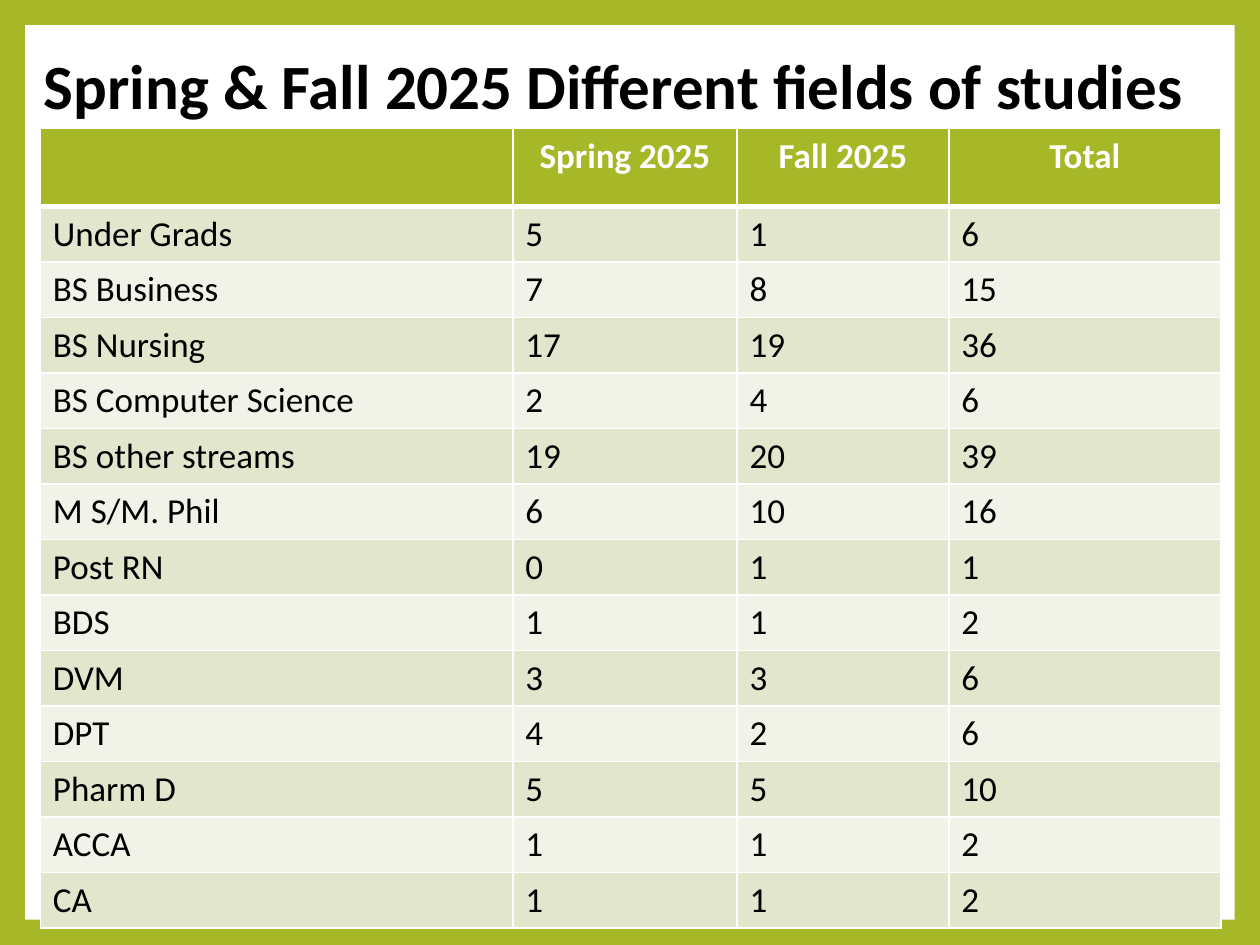
from lxml.etree import SubElement
from pptx import Presentation
from pptx.dml.color import RGBColor
from pptx.enum.shapes import MSO_SHAPE
from pptx.enum.text import MSO_ANCHOR, PP_ALIGN
from pptx.oxml.ns import qn
from pptx.util import Inches, Pt

# Content
TITLE = "Spring & Fall 2025 Different fields of studies"
HEADERS = ["", "Spring 2025", "Fall 2025", "Total"]
ENROLMENT = [  # field, spring, fall
    ("Under Grads", 5, 1),
    ("BS Business", 7, 8),
    ("BS Nursing", 17, 19),
    ("BS Computer Science", 2, 4),
    ("BS other streams", 19, 20),
    ("M S/M. Phil", 6, 10),
    ("Post RN", 0, 1),
    ("BDS", 1, 1),
    ("DVM", 3, 3),
    ("DPT", 4, 2),
    ("Pharm D", 5, 5),
    ("ACCA", 1, 1),
    ("CA", 1, 1),
]

# Style and grid, in inches
GREEN = RGBColor(0xA6, 0xB7, 0x27)
DARK_BAND = RGBColor(0xE1, 0xE6, 0xCD)
LIGHT_BAND = RGBColor(0xF1, 0xF3, 0xE8)
WHITE = RGBColor(0xFF, 0xFF, 0xFF)
BLACK = RGBColor(0, 0, 0)
FONT = "Calibri"
SLIDE_WIDTH, SLIDE_HEIGHT = 10, 7.5
MARGIN = 0.2
TABLE_LEFT, TABLE_TOP = 0.32, 1.02
COLUMN_WIDTHS = [3.75, 1.78, 1.68, 2.16]
HEADER_HEIGHT, ROW_HEIGHT = 0.62, 0.44


def add_run(paragraph, text, size, color, bold):
    run = paragraph.add_run()
    run.text = text
    run.font.name = FONT
    run.font.size = Pt(size)
    run.font.bold = bold
    run.font.color.rgb = color


def set_borders(cell, bottom_width):
    properties = cell._tc.get_or_add_tcPr()
    widths = {"a:lnL": 1, "a:lnR": 1, "a:lnT": 1, "a:lnB": bottom_width}
    for tag, width in widths.items():
        line = SubElement(properties, qn(tag), w=str(Pt(width)))
        fill = SubElement(line, qn("a:solidFill"))
        SubElement(fill, qn("a:srgbClr"), val=str(WHITE))


def fill_cell(cell, text, is_header, band):
    set_borders(cell, 3 if is_header else 1)
    cell.fill.solid()
    cell.fill.fore_color.rgb = band
    paragraph = cell.text_frame.paragraphs[0]
    paragraph.alignment = PP_ALIGN.CENTER if is_header else PP_ALIGN.LEFT
    if text:
        add_run(paragraph, text, 20, WHITE if is_header else BLACK, is_header)


presentation = Presentation()
presentation.slide_width = Inches(SLIDE_WIDTH)
presentation.slide_height = Inches(SLIDE_HEIGHT)
slide = presentation.slides.add_slide(presentation.slide_layouts[5])

# Green frame around a white panel, placed behind the title
slide.background.fill.solid()
slide.background.fill.fore_color.rgb = GREEN
panel = slide.shapes.add_shape(
    MSO_SHAPE.RECTANGLE, Inches(MARGIN), Inches(MARGIN),
    Inches(SLIDE_WIDTH - 2 * MARGIN), Inches(SLIDE_HEIGHT - 2 * MARGIN))
panel.shadow.inherit = False
panel.fill.solid()
panel.fill.fore_color.rgb = WHITE
panel.line.fill.background()
slide.shapes._spTree.insert(2, panel._element)

# Title
title = slide.shapes.title
title.left, title.top = Inches(0.1), Inches(0.4)
title.width, title.height = Inches(9.54), Inches(0.62)
title.text_frame.word_wrap = True
title.text_frame.vertical_anchor = MSO_ANCHOR.MIDDLE
heading = title.text_frame.paragraphs[0]
heading.alignment = PP_ALIGN.CENTER
heading.line_spacing = 0.9
add_run(heading, TITLE, 36, BLACK, True)

# Enrolment table
rows = [HEADERS] + [(field, str(spring), str(fall), str(spring + fall))
                    for field, spring, fall in ENROLMENT]
table = slide.shapes.add_table(
    len(rows), len(HEADERS), Inches(TABLE_LEFT), Inches(TABLE_TOP),
    Inches(sum(COLUMN_WIDTHS)),
    Inches(HEADER_HEIGHT + ROW_HEIGHT * len(ENROLMENT))).table
for column, width in zip(table.columns, COLUMN_WIDTHS):
    column.width = Inches(width)
for row_index, texts in enumerate(rows):
    is_header = row_index == 0
    band = GREEN if is_header else DARK_BAND if row_index % 2 else LIGHT_BAND
    table.rows[row_index].height = Inches(HEADER_HEIGHT if is_header else ROW_HEIGHT)
    for column_index, text in enumerate(texts):
        fill_cell(table.cell(row_index, column_index), text, is_header, band)

presentation.save("out.pptx")
